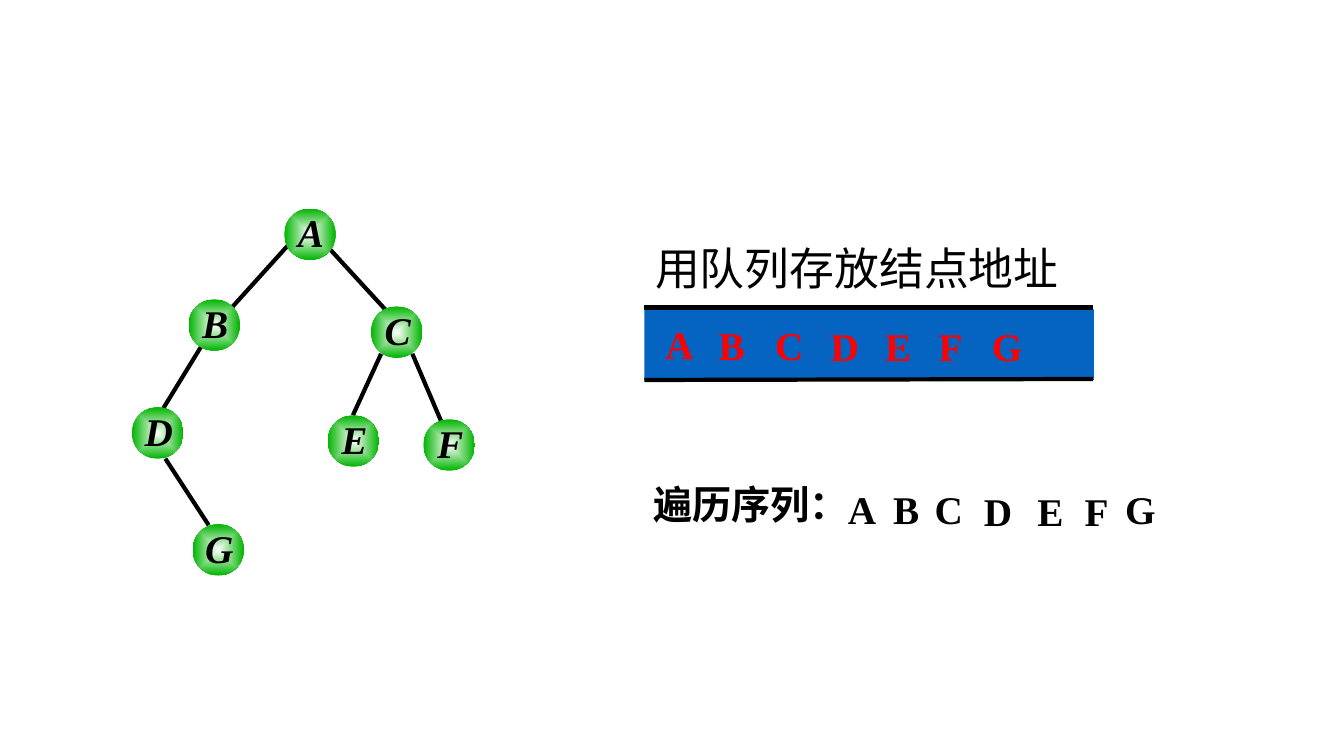
"""Build a slide showing level-order traversal of a binary tree with a queue."""
from lxml import etree
from pptx import Presentation
from pptx.dml.color import RGBColor
from pptx.enum.shapes import MSO_CONNECTOR, MSO_SHAPE
from pptx.enum.text import MSO_ANCHOR, MSO_AUTO_SIZE, PP_ALIGN
from pptx.oxml.ns import qn
from pptx.util import Inches, Pt

STRAIGHT = MSO_CONNECTOR.STRAIGHT
OVAL, RECTANGLE = MSO_SHAPE.OVAL, MSO_SHAPE.RECTANGLE
LEFT, CENTER = PP_ALIGN.LEFT, PP_ALIGN.CENTER
TOP = MSO_ANCHOR.TOP
GROW = MSO_AUTO_SIZE.SHAPE_TO_FIT_TEXT

BLACK, RED, BLUE, WHITE, GREEN = "000000", "FF0000", "0563C1", "FFFFFF", "00B400"
SERIF, SANS = "Times New Roman", "Arial"

NODES = {
    "A": (2.82, 2.07), "B": (1.87, 2.97), "C": (3.68, 3.04), "D": (1.31, 4.04),
    "E": (3.25, 4.12), "F": (4.2, 4.16), "G": (1.91, 5.2),
}
NODE_SIZE = 0.51
NODE_LABEL_SIZE = (0.43, 0.67)
NODE_LABEL_SHIFT = (0.05, -0.04)
BRANCHES = [
    (2.86, 2.43, 2.3, 3.05), (3.27, 2.47, 3.83, 3.08), (2, 3.43, 1.62, 4.05),
    (1.64, 4.55, 2.07, 5.21), (3.78, 3.51, 3.5, 4.12), (4.09, 3.51, 4.38, 4.19),
]
QUEUE_BAND = (6.39, 3.07, 4.46, 0.7)
QUEUE_EDGES = [(6.39, 3.05, 10.84, 3.05), (6.39, 3.77, 10.84, 3.76)]
QUEUE_TITLE = ("用队列存放结点地址", (6.25, 2.34, 4.5, 0.63))
SEQUENCE_TITLE = ("遍历序列：", (6.38, 4.72, 4.94, 0.57))
LETTER_SIZE = (0.52, 0.57)
QUEUE_LETTERS = {
    "A": (6.5, 3.13), "B": (7.03, 3.14), "C": (7.59, 3.14), "D": (8.14, 3.15),
    "E": (8.68, 3.15), "F": (9.21, 3.15), "G": (9.74, 3.15),
}
SEQUENCE_LETTERS = {
    "A": (8.31, 4.77), "B": (8.76, 4.77), "C": (9.17, 4.77), "D": (9.66, 4.79),
    "E": (10.19, 4.79), "F": (10.66, 4.79), "G": (11.06, 4.77),
}


def rgb(color):
    return RGBColor.from_string(color)


def inches(lengths):
    return [Inches(length) for length in lengths]


def add_line(shapes, ends):
    line = shapes.add_connector(STRAIGHT, *inches(ends))
    line.line.color.rgb = rgb(BLACK)
    line.line.width = Pt(3)
    etree.SubElement(line._element.spPr, qn("a:effectLst"))


def add_text(shapes, text, box, color=BLACK, size=28, font=SERIF,
             bold=True, italic=False, align=LEFT):
    label = shapes.add_textbox(*inches(box))
    frame = label.text_frame
    frame.text = text
    frame.word_wrap = True
    frame.vertical_anchor = TOP
    paragraph = frame.paragraphs[0]
    paragraph.alignment = align
    style = paragraph.runs[0].font
    style.name, style.size, style.bold, style.italic = font, Pt(size), bold, italic
    style.color.rgb = rgb(color)
    return frame


def add_node(shapes, letter, left, top):
    node = shapes.add_shape(OVAL, *inches((left, top, NODE_SIZE, NODE_SIZE)))
    node.shadow.inherit = False
    node.line.fill.background()
    node.fill.gradient()
    for stop, color in zip(node.fill.gradient_stops, (WHITE, GREEN)):
        stop.color.rgb = rgb(color)
    gradient = node._element.spPr.find(qn("a:gradFill"))
    gradient.remove(gradient.find(qn("a:lin")))
    radial = etree.SubElement(gradient, qn("a:path"), {"path": "shape"})
    etree.SubElement(radial, qn("a:fillToRect"), dict.fromkeys("ltrb", "50000"))

    shift_x, shift_y = NODE_LABEL_SHIFT
    frame = add_text(shapes, letter, (left + shift_x, top + shift_y, *NODE_LABEL_SIZE),
                     italic=True, align=CENTER)
    frame.margin_left = frame.margin_right = frame.margin_bottom = 0
    frame.margin_top = Inches(0.04)


def add_tree(shapes):
    tree = shapes.add_group_shape().shapes
    for branch in BRANCHES:
        add_line(tree, branch)
    for letter, (left, top) in NODES.items():
        add_node(tree, letter, left, top)


def add_letters(shapes, letters, color):
    for letter, corner in letters.items():
        add_text(shapes, letter, (*corner, *LETTER_SIZE), color).auto_size = GROW


def add_queue(shapes):
    band = shapes.add_shape(RECTANGLE, *inches(QUEUE_BAND))
    band.shadow.inherit = False
    band.fill.solid()
    band.fill.fore_color.rgb = rgb(BLUE)
    band.line.fill.background()
    for edge in QUEUE_EDGES:
        add_line(shapes, edge)
    add_letters(shapes, QUEUE_LETTERS, RED)
    add_text(shapes, *QUEUE_TITLE, size=32, font=SANS, bold=False,
             align=CENTER).auto_size = GROW


def main():
    deck = Presentation()
    deck.slide_width, deck.slide_height = inches((13.33, 7.5))
    shapes = deck.slides.add_slide(deck.slide_layouts[6]).shapes
    add_tree(shapes)
    add_queue(shapes)
    add_text(shapes, *SEQUENCE_TITLE).auto_size = GROW
    add_letters(shapes, SEQUENCE_LETTERS, BLACK)
    deck.save("out.pptx")


if __name__ == "__main__":
    main()
